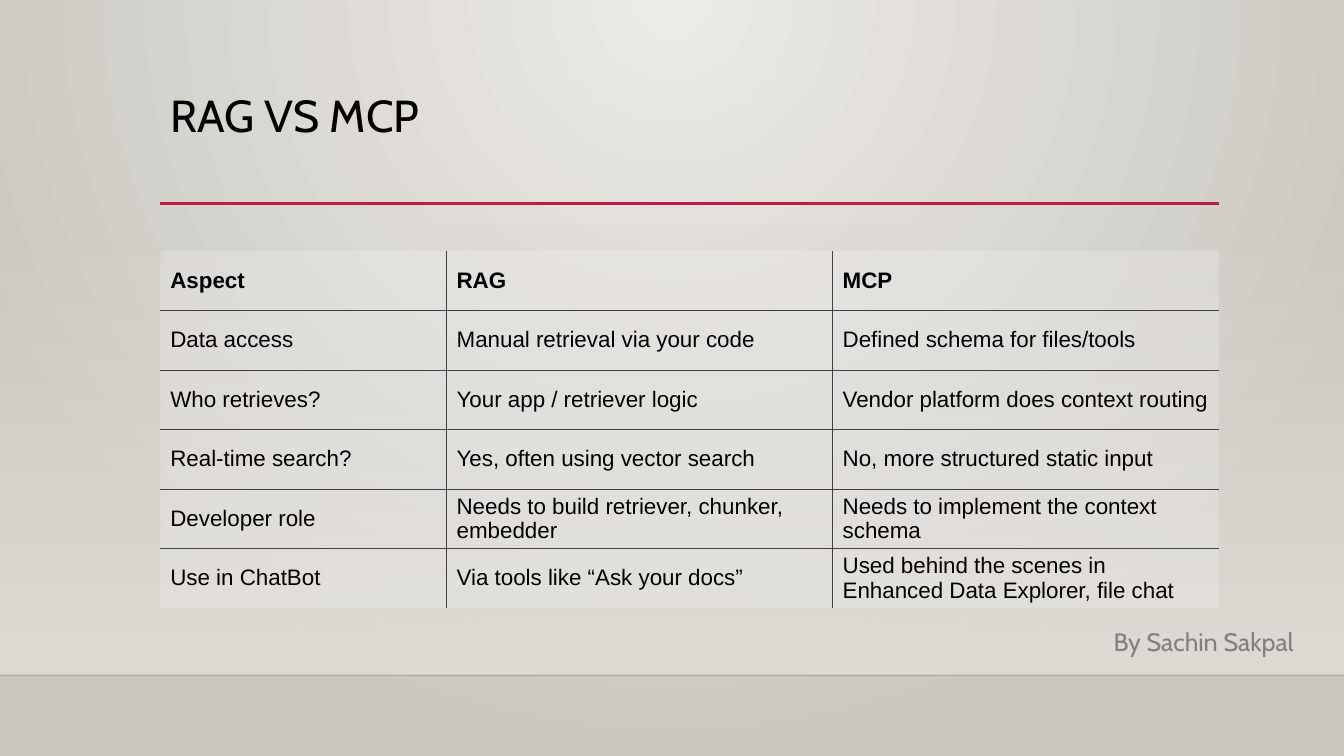
from dataclasses import dataclass
from itertools import product

from lxml.etree import SubElement
from pptx import Presentation
from pptx.dml.color import RGBColor as RGB
from pptx.dml.fill import FillFormat
from pptx.enum.shapes import MSO_CONNECTOR as Connector, MSO_SHAPE as Shape
from pptx.enum.text import MSO_ANCHOR as Anchor, MSO_AUTO_SIZE as AutoSize
from pptx.oxml import parse_xml
from pptx.oxml.ns import nsdecls, qn
from pptx.slide import Slide
from pptx.text.text import _Paragraph as Paragraph
from pptx.util import Pt


@dataclass(frozen=True)
class Theme:
    title_font: str = "Cabin"
    table_font: str = "Arial"
    title_size: float = 32
    credit_size: float = 18
    table_size: float = 16
    text: str = "000000"
    credit: str = "808080"
    accent: str = "B71E42"
    grid: str = "404040"
    cell: str = "F2F2F2"
    floor_edge: str = "000001"
    glow: str = "ECEAE7"
    backdrop: str = "CAC7C1"
    wall: str = "DFDBD5"


@dataclass(frozen=True)
class Rule:
    left: float
    right: float
    y: float
    color: str
    width: float
    opacity: int = 100


THEME = Theme()
WIDTH, HEIGHT = 960, 540
LEFT, CONTENT_WIDTH = 114.5, 756
WALL_TOP, FLOOR = 159, 482.4
TABLE_TOP, ROW_HEIGHT = 179.3, 42.5
COLUMN_WIDTHS = (204.5, 275.75, 275.75)
NO_STYLE = "{2D5ABB26-0587-4C30-8999-92F81FD0307C}"

RULES = (
    Rule(0, WIDTH, FLOOR, THEME.floor_edge, 1, opacity=20),
    Rule(LEFT, LEFT + CONTENT_WIDTH, 145.4, THEME.accent, 2.5),
)
ROWS = (
    ("Aspect", "RAG", "MCP"),
    ("Data access", "Manual retrieval via your code", "Defined schema for files/tools"),
    ("Who retrieves?", "Your app / retriever logic", "Vendor platform does context routing"),
    ("Real-time search?", "Yes, often using vector search", "No, more structured static input"),
    ("Developer role", "Needs to build retriever, chunker, embedder",
     "Needs to implement the context schema"),
    ("Use in ChatBot", "Via tools like “Ask your docs”",
     "Used behind the scenes in Enhanced Data Explorer, file chat"),
)


def set_opacity(parent, percent: int) -> None:
    """Make the first RGB colour found under parent partly transparent."""
    color = next(parent.iter(qn("a:srgbClr")))
    SubElement(color, qn("a:alpha"), val=str(percent * 1000))


def set_gradient(fill: FillFormat, start: str, end: str) -> None:
    fill.gradient()
    for stop, color in zip(fill.gradient_stops, (start, end)):
        stop.color.rgb = RGB.from_string(color)


def style(p: Paragraph, font: str, size: float, color: str, bold: bool = False) -> None:
    p.font.name = font
    p.font.size = Pt(size)
    p.font.bold = bold
    p.font.color.rgb = RGB.from_string(color)


def draw_background(s: Slide) -> None:
    """Radial glow from the top centre, with a wall fading in above the floor."""
    set_gradient(s.background.fill, THEME.glow, THEME.backdrop)
    gradient = next(s.background._cSld.iter(qn("a:gradFill")))
    gradient.remove(gradient.find(qn("a:lin")))
    circle = SubElement(gradient, qn("a:path"), path="circle")
    SubElement(circle, qn("a:fillToRect"), l="43000", t="0", r="43000", b="100000")

    wall = s.shapes.add_shape(Shape.RECTANGLE, 0, Pt(WALL_TOP), Pt(WIDTH), Pt(FLOOR - WALL_TOP))
    wall.shadow.inherit = False
    wall.line.fill.background()
    set_gradient(wall.fill, THEME.wall, THEME.wall)
    wall.fill.gradient_angle = 270
    set_opacity(wall._element, 0)


def draw_rule(s: Slide, rule: Rule) -> None:
    line = s.shapes.add_connector(
        Connector.STRAIGHT, Pt(rule.left), Pt(rule.y), Pt(rule.right), Pt(rule.y))
    line.line.color.rgb = RGB.from_string(rule.color)
    line.line.width = Pt(rule.width)
    properties = line._element.spPr
    if rule.opacity < 100:
        set_opacity(properties, rule.opacity)
    SubElement(properties, qn("a:effectLst"))


def write_title(s: Slide) -> None:
    title = s.shapes.title
    title.left, title.top = Pt(LEFT), Pt(63.4)
    title.width, title.height = Pt(CONTENT_WIDTH), Pt(82.8)
    tf = title.text_frame
    tf.text = "RAG VS MCP"
    tf.vertical_anchor = Anchor.TOP
    tf.auto_size = AutoSize.NONE
    p = tf.paragraphs[0]
    p.alignment = 1
    p.line_spacing = 0.9
    style(p, THEME.title_font, THEME.title_size, THEME.text)


def write_credit(s: Slide) -> None:
    tf = s.shapes.add_textbox(Pt(788.4), Pt(443.5), Pt(146.2), Pt(28.8)).text_frame
    tf.text = "By Sachin Sakpal"
    tf.word_wrap = False
    tf.auto_size = AutoSize.SHAPE_TO_FIT_TEXT
    style(tf.paragraphs[0], THEME.title_font, THEME.credit_size, THEME.credit)


def draw_table(s: Slide) -> None:
    """Comparison table with lines between the cells only."""
    rows, columns = len(ROWS), len(COLUMN_WIDTHS)
    frame = s.shapes.add_table(
        rows, columns, Pt(LEFT), Pt(TABLE_TOP), Pt(CONTENT_WIDTH), Pt(rows * ROW_HEIGHT))
    next(frame._element.iter(qn("a:tableStyleId"))).text = NO_STYLE
    table = frame.table
    table.horz_banding = False
    for column, width in zip(table.columns, COLUMN_WIDTHS):
        column.width = Pt(width)
    for row in table.rows:
        row.height = Pt(ROW_HEIGHT)

    for i, j in product(range(rows), range(columns)):
        cell = table.cell(i, j)
        cell.text = ROWS[i][j]
        cell.vertical_anchor = Anchor.MIDDLE
        cell.margin_top = cell.margin_bottom = Pt(2)
        style(cell.text_frame.paragraphs[0], THEME.table_font, THEME.table_size,
              THEME.text, bold=i == 0)
        cell.fill.solid()
        cell.fill.fore_color.rgb = RGB.from_string(THEME.cell)
        properties = cell._tc.tcPr
        set_opacity(properties, 30)
        inner = {"L": j > 0, "R": j < columns - 1, "T": i > 0, "B": i < rows - 1}
        sides = [side for side, is_inner in inner.items() if is_inner]
        for position, side in enumerate(sides):
            properties.insert(position, parse_xml(
                f'<a:ln{side} {nsdecls("a")} w="{Pt(0.5)}"><a:solidFill>'
                f'<a:srgbClr val="{THEME.grid}"/></a:solidFill></a:ln{side}>'))


def main() -> None:
    prs = Presentation()
    prs.slide_width, prs.slide_height = Pt(WIDTH), Pt(HEIGHT)
    s = prs.slides.add_slide(prs.slide_layouts[5])
    draw_background(s)
    for rule in RULES:
        draw_rule(s, rule)
    write_title(s)
    write_credit(s)
    draw_table(s)
    prs.save("out.pptx")


if __name__ == "__main__":
    main()
